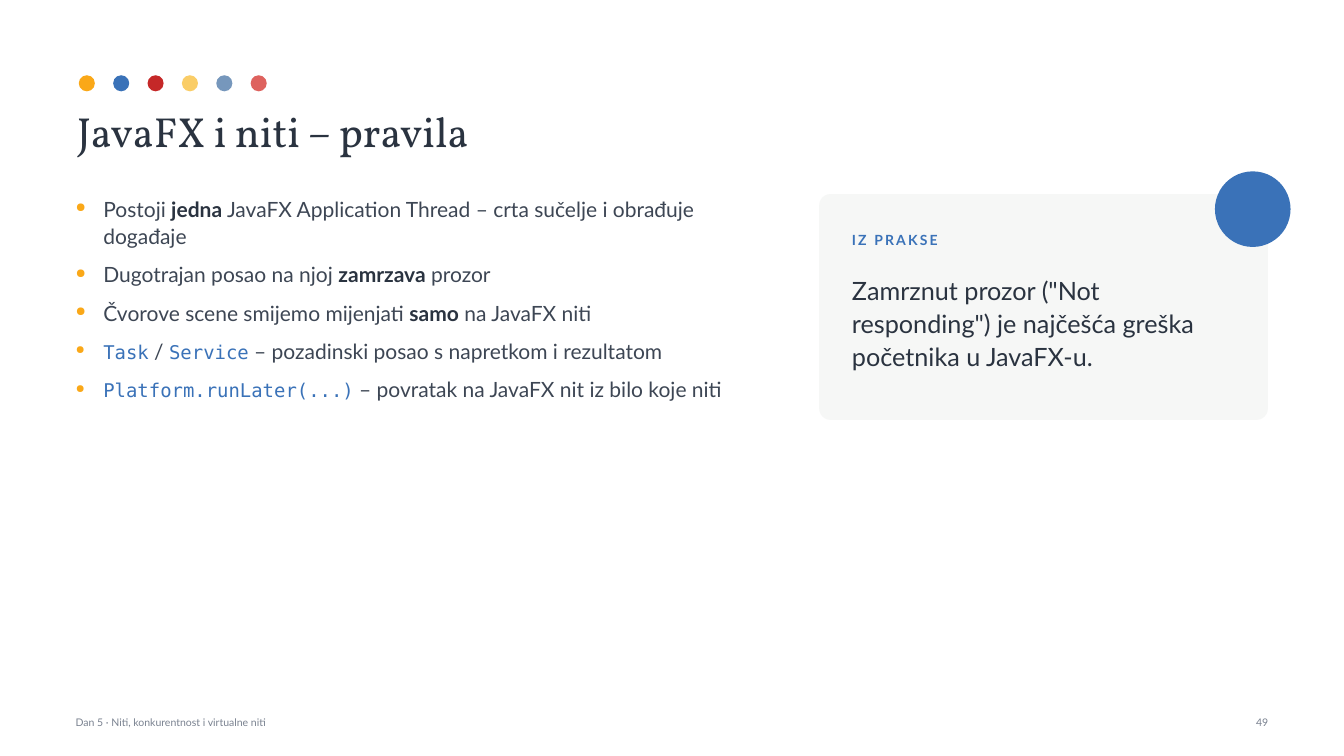
from lxml import etree
from pptx import Presentation
from pptx import util as u
from pptx.dml.color import RGBColor
from pptx.enum import shapes, text
from pptx.oxml import ns

ORANGE = RGBColor(0xFA, 0xA8, 0x18)
BLUE = RGBColor(0x3A, 0x72, 0xB8)
RED = RGBColor(0xC5, 0x28, 0x28)
YELLOW = RGBColor(0xFA, 0xCD, 0x67)
STEEL = RGBColor(0x76, 0x97, 0xBC)
CORAL = RGBColor(0xDE, 0x62, 0x5E)
INK = RGBColor(0x2A, 0x33, 0x40)
BODY = RGBColor(0x3D, 0x46, 0x54)
MUTED = RGBColor(0x7A, 0x82, 0x90)
PANEL = RGBColor(0xF6, 0xF7, 0xF6)

PLAIN = dict(size=30, color=BODY)
STRONG = dict(size=30, color=INK, bold=True)
CODE = dict(size=27, color=BLUE, font="DejaVu Sans Mono")

RULES = [
    [("Postoji ", PLAIN), ("jedna", STRONG),
     (" JavaFX Application Thread – crta sučelje i obrađuje događaje", PLAIN)],
    [("Dugotrajan posao na njoj ", PLAIN), ("zamrzava", STRONG), (" prozor", PLAIN)],
    [("Čvorove scene smijemo mijenjati ", PLAIN), ("samo", STRONG),
     (" na JavaFX niti", PLAIN)],
    [("Task", CODE), (" / ", PLAIN), ("Service", CODE),
     (" – pozadinski posao s napretkom i rezultatom", PLAIN)],
    [("Platform.runLater(...)", CODE),
     (" – povratak na JavaFX nit iz bilo koje niti", PLAIN)],
]


def add_run(p, content, size, color, font="Lato", bold=False, spacing=None):
    r = p.add_run()
    r.text = content
    r.font.size = u.Pt(size)
    r.font.name = font
    r.font.bold = bold
    r.font.color.rgb = color
    if spacing:
        r._r.get_or_add_rPr().set("spc", str(spacing * 100))


def add_bullet(p, indent, color):
    pPr = p._p.get_or_add_pPr()
    pPr.set("marL", str(u.Pt(indent)))
    pPr.set("indent", str(-u.Pt(indent)))
    clr = etree.SubElement(pPr, ns.qn("a:buClr"))
    etree.SubElement(clr, ns.qn("a:srgbClr"), val=str(color))
    etree.SubElement(pPr, ns.qn("a:buSzPct"), val="62000")
    etree.SubElement(pPr, ns.qn("a:buChar"), char="●")


class Deck:
    def __init__(self, prs):
        self.s = prs.slides.add_slide(prs.slide_layouts[5])

    def frame(self, sp, inset=0):
        tf = sp.text_frame
        tf.word_wrap = True
        tf.auto_size = text.MSO_AUTO_SIZE.NONE
        tf.vertical_anchor = text.MSO_ANCHOR.TOP
        tf.margin_left = tf.margin_right = u.Pt(inset)
        tf.margin_top = tf.margin_bottom = u.Pt(inset)
        return tf

    def title(self, content, *box):
        sp = self.s.shapes.title
        sp.left, sp.top, sp.width, sp.height = map(u.Pt, box)
        p = self.frame(sp, 7.2).paragraphs[0]
        p.alignment = text.PP_ALIGN.LEFT
        add_run(p, content, 60, INK, font="Vollkorn")

    def shape(self, kind, color, *box, group=None):
        parent = (group or self.s).shapes
        sp = parent.add_shape(kind, *map(u.Pt, box))
        sp.shadow.inherit = False
        sp.fill.solid()
        sp.fill.fore_color.rgb = color
        sp.line.fill.background()
        return sp

    def dots(self, colors, left, top, size, step):
        group = self.s.shapes.add_group_shape()
        for i, color in enumerate(colors):
            self.shape(shapes.MSO_SHAPE.OVAL, color, left + i * step, top,
                       size, size, group=group)

    def text_box(self, *box):
        return self.frame(self.s.shapes.add_textbox(*map(u.Pt, box)))

    def label(self, content, *box, align=text.PP_ALIGN.LEFT, line_spacing=None, **fmt):
        p = self.text_box(*box).paragraphs[0]
        p.alignment = align
        p.line_spacing = line_spacing
        add_run(p, content, **fmt)

    def bullets(self, items, *box):
        tf = self.text_box(*box)
        for i, item in enumerate(items):
            p = tf.add_paragraph() if i else tf.paragraphs[0]
            add_bullet(p, 39.6, ORANGE)
            p.line_spacing = 1.08
            p.space_after = u.Pt(16)
            for content, fmt in item:
                add_run(p, content, **fmt)


def main():
    prs = Presentation()
    prs.slide_width, prs.slide_height = u.Pt(1919.52), u.Pt(1080)
    deck = Deck(prs)
    deck.dots([ORANGE, BLUE, RED, YELLOW, STEEL, CORAL], 112.5, 107.5, 23, 49.1)
    deck.title("JavaFX i niti – pravila", 103, 144, 1713.6, 86.4)
    deck.bullets(RULES, 108, 277.2, 1000.8, 698.4)

    panel = deck.shape(shapes.MSO_SHAPE.ROUNDED_RECTANGLE, PANEL,
                       1170, 277.2, 640.8, 322.6)
    panel.adjustments[0] = 0.05
    deck.shape(shapes.MSO_SHAPE.OVAL, BLUE, 1735.2, 244.8, 108, 108)
    deck.label("IZ PRAKSE", 1216.8, 331.2, 547.2, 50.4,
               size=20, color=BLUE, bold=True, spacing=3)
    deck.label('Zamrznut prozor ("Not responding") je najčešća greška početnika u JavaFX-u.',
               1216.8, 388.8, 547.2, 182.2, line_spacing=1.1, size=36, color=INK)

    deck.label("Dan 5 · Niti, konkurentnost i virtualne niti",
               108, 1022.4, 1152, 32.4, size=15, color=MUTED)
    deck.label("49", 1631.5, 1022.4, 180, 32.4,
               align=text.PP_ALIGN.RIGHT, size=15, color=MUTED)
    prs.save("out.pptx")


if __name__ == "__main__":
    main()
